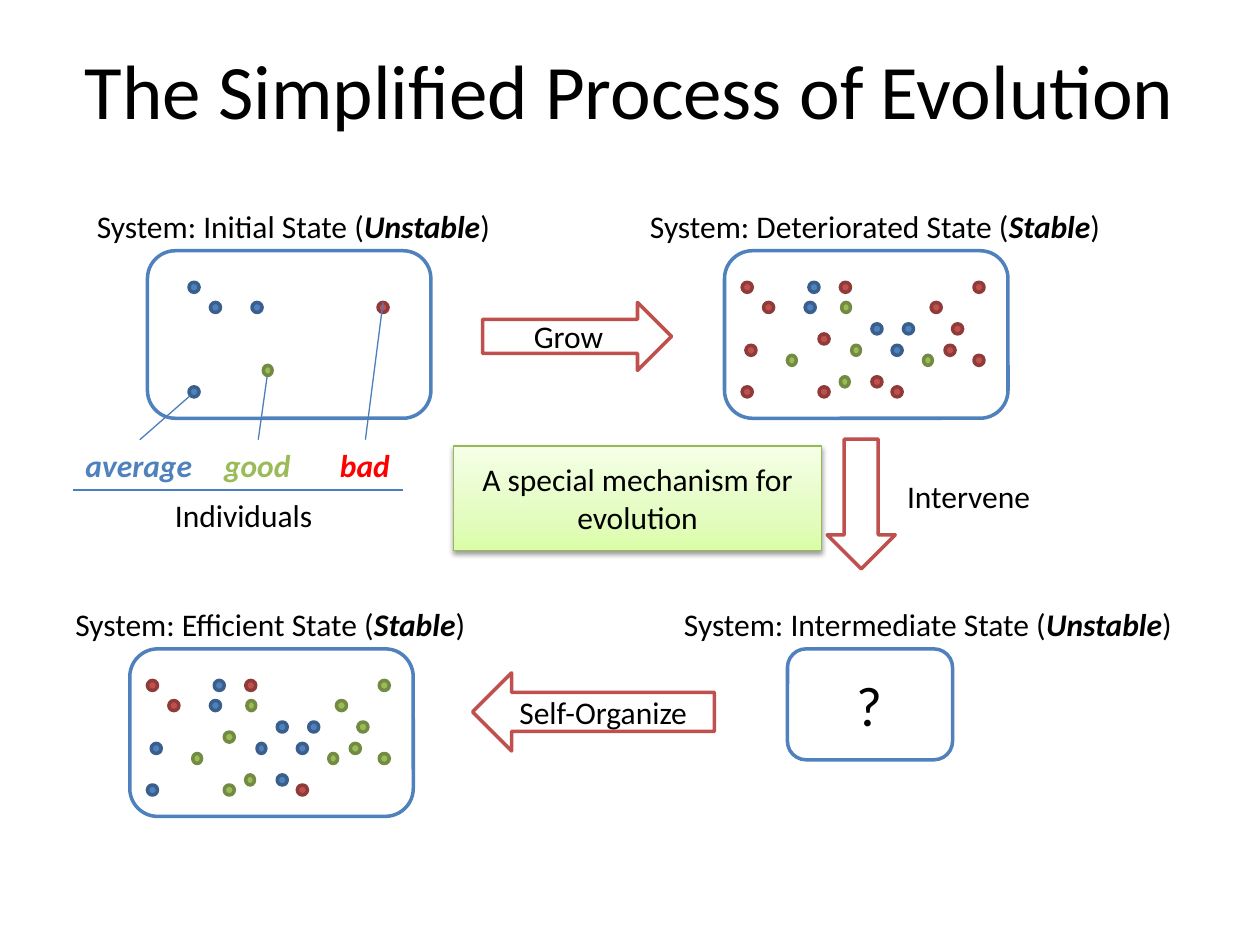
"""Builds the slide on the simplified process of evolution."""
from copy import deepcopy
from typing import NamedTuple

from lxml import etree
from pptx import Presentation
from pptx import util as u
from pptx.dml.color import RGBColor
from pptx.enum import shapes, text
from pptx.oxml.ns import qn

BLACK, WHITE, BLUE, RED, GREEN = "000000", "FFFFFF", "4F81BD", "C0504D", "9BBB59"
RIM = {BLUE: "3A5F8C", RED: "8E3B39", GREEN: "738A42"}
PRESET = shapes.MSO_SHAPE


class Dot(NamedTuple):
    dx: float
    dy: float
    colour: str
    width: float = 0.08


class Place(NamedTuple):
    dx: float
    dy: float
    deteriorated: str
    efficient: str
    width: float = 0.08


class State(NamedTuple):
    name: str
    stability: str
    label_left: float
    label_width: float
    left: float
    top: float
    dots: list[Dot]
    width: float = 2.25
    height: float = 1.33
    content: str = ""


class Arrow(NamedTuple):
    preset: shapes.MSO_SHAPE
    at: tuple[float, float, float, float]
    action: str = ""
    rotation: float = 0


class Individual(NamedTuple):
    kind: str
    colour: str
    left: float
    width: float
    start: tuple[float, float]
    end: tuple[float, float]


INITIAL = [
    Dot(0.33, 0.25, BLUE), Dot(0.83, 0.41, BLUE), Dot(1.83, 0.41, RED),
    Dot(0.92, 0.91, GREEN, 0.07), Dot(0.33, 1.08, BLUE), Dot(0.5, 0.41, BLUE),
]
POPULATION = [
    Place(0.14, 0.25, RED, RED), Place(0.64, 0.41, BLUE, BLUE),
    Place(1.64, 0.41, RED, GREEN), Place(0.14, 1.08, RED, BLUE),
    Place(0.31, 0.41, RED, RED), Place(1.81, 0.58, RED, GREEN),
    Place(1.98, 0.83, RED, GREEN), Place(1.75, 0.75, RED, GREEN),
    Place(1.17, 1.0, RED, BLUE), Place(0.17, 0.75, RED, BLUE),
    Place(1.98, 0.25, RED, GREEN), Place(1.33, 1.08, RED, RED),
    Place(0.75, 1.08, RED, GREEN), Place(0.92, 0.25, RED, RED),
    Place(0.75, 0.66, RED, GREEN), Place(0.92, 1.0, GREEN, GREEN, 0.07),
    Place(0.93, 0.41, GREEN, GREEN, 0.07), Place(1.01, 0.75, GREEN, BLUE, 0.07),
    Place(1.58, 0.83, GREEN, GREEN, 0.07), Place(0.5, 0.83, GREEN, GREEN, 0.07),
    Place(1.17, 0.58, BLUE, BLUE), Place(1.42, 0.58, BLUE, BLUE),
    Place(1.33, 0.75, BLUE, BLUE), Place(0.67, 0.25, BLUE, BLUE),
]
STATES = [
    State("Initial", "Unstable", 0.67, 3.36, 1.17, 1.99, INITIAL),
    State("Deteriorated", "Stable", 5.06, 3.81, 5.75, 1.99,
          [Dot(p.dx, p.dy, p.deteriorated, p.width) for p in POPULATION]),
    State("Efficient", "Stable", 0.5, 3.34, 1.03, 5.15,
          [Dot(p.dx, p.dy, p.efficient, p.width) for p in POPULATION]),
    State("Intermediate", "Unstable", 5.33, 4.12, 6.25, 5.15, [], 1.31, 0.88, "?"),
]
ARROWS = [
    Arrow(PRESET.RIGHT_ARROW, (3.83, 2.4, 1.5, 0.54), "Grow"),
    Arrow(PRESET.RIGHT_ARROW, (6.32, 3.73, 1.03, 0.54), rotation=90),
    Arrow(PRESET.LEFT_ARROW, (3.75, 5.34, 1.92, 0.62), "Self-Organize"),
]
INDIVIDUALS = [
    Individual("good", GREEN, 1.68, 0.73, (2.12, 2.99), (2.05, 3.49)),
    Individual("bad", "FF0000", 2.6, 0.6, (3.04, 2.4), (2.9, 3.49)),
    Individual("average", BLUE, 0.58, 1.06, (1.11, 3.49), (1.51, 3.14)),
]


def paint(colour_format, colour: str) -> None:
    colour_format.rgb = RGBColor.from_string(colour)


def style_run(run, size: float, colour: str = BLACK, strong: bool = False) -> None:
    run.font.size, run.font.name = u.Pt(size), "Calibri"
    run.font.bold = run.font.italic = strong
    paint(run.font.color, colour)


def add_figure(slide, preset, at, fill: str, line: str, words: str = "",
               size: float = 18, weight: float = 2):
    figure = slide.shapes.add_shape(preset, *map(u.Inches, at))
    figure.shadow.inherit = False
    figure.fill.solid()
    paint(figure.fill.fore_color, fill)
    paint(figure.line.color, line)
    figure.line.width = u.Pt(weight)
    if words:
        figure.text_frame.text = words
        figure.text_frame.vertical_anchor = text.MSO_ANCHOR.MIDDLE
        paragraph = figure.text_frame.paragraphs[0]
        paragraph.alignment = text.PP_ALIGN.CENTER
        style_run(paragraph.runs[0], size)
    return figure


def add_label(slide, left: float, top: float, width: float, words: str,
              colour: str = BLACK, strong: bool = False):
    label = slide.shapes.add_textbox(*map(u.Inches, (left, top, width, 0.4)))
    label.text_frame.word_wrap = False
    label.text_frame.auto_size = text.MSO_AUTO_SIZE.SHAPE_TO_FIT_TEXT
    label.text_frame.text = words
    paragraph = label.text_frame.paragraphs[0]
    style_run(paragraph.runs[0], 18, colour, strong)
    return paragraph


def add_line(slide, start: tuple[float, float], end: tuple[float, float]) -> None:
    line = slide.shapes.add_connector(
        shapes.MSO_CONNECTOR.STRAIGHT, *map(u.Inches, start + end))
    paint(line.line.color, "4B7EBC")
    line.line.width = u.Pt(0.75)
    etree.SubElement(line._element.spPr, qn("a:effectLst"))


def add_state(slide, state: State) -> None:
    add_figure(slide, PRESET.ROUNDED_RECTANGLE,
               (state.left, state.top, state.width, state.height),
               WHITE, BLUE, state.content, 32)
    heading = add_label(slide, state.label_left, state.top - 0.4, state.label_width,
                        f"System: {state.name} State (")
    for words, strong in ((state.stability, True), (")", False)):
        run = heading.add_run()
        run.text = words
        style_run(run, 18, strong=strong)
    for dot in state.dots:
        add_figure(slide, PRESET.OVAL,
                   (state.left + dot.dx, state.top + dot.dy, dot.width, 0.08),
                   dot.colour, RIM[dot.colour])


def add_mechanism(slide) -> None:
    box = add_figure(slide, PRESET.RECTANGLE, (3.6, 3.54, 2.92, 0.83), WHITE,
                     "98B955", "A special mechanism for evolution", weight=0.75)
    box.fill.gradient()
    box.fill.gradient_angle = 90
    stops = box._element.spPr.find(".//" + qn("a:gsLst"))
    stops.insert(1, deepcopy(stops[0]))
    for stop, position, colour in zip(
            box.fill.gradient_stops, (0, 0.35, 1), ("DAFDA7", "E4FCC2", "F5FFE7")):
        stop.position = position
        paint(stop.color, colour)
    shadow = etree.SubElement(
        box._element.spPr.find(qn("a:effectLst")), qn("a:outerShdw"),
        blurRad=str(u.Pt(3.1)), dist=str(u.Pt(1.6)), dir="5400000", rotWithShape="0")
    shade = etree.SubElement(shadow, qn("a:srgbClr"), val=BLACK)
    etree.SubElement(shade, qn("a:alpha"), val="38000")


def add_title(slide) -> None:
    title = slide.shapes.add_textbox(*map(u.Inches, (0.5, 0.08, 9, 1.25)))
    title.text_frame.word_wrap = True
    title.text_frame.vertical_anchor = text.MSO_ANCHOR.MIDDLE
    title.text_frame.text = "The Simplified Process of Evolution"
    paragraph = title.text_frame.paragraphs[0]
    paragraph.alignment = text.PP_ALIGN.CENTER
    style_run(paragraph.runs[0], 44)


def main() -> None:
    deck = Presentation()
    deck.slide_width, deck.slide_height = u.Inches(10), u.Inches(7.5)
    slide = deck.slides.add_slide(deck.slide_layouts[6])
    add_title(slide)
    for state in STATES:
        add_state(slide, state)
    for individual in INDIVIDUALS:
        add_label(slide, individual.left, 3.49, individual.width,
                  individual.kind, individual.colour, True)
        add_line(slide, individual.start, individual.end)
    add_label(slide, 1.29, 3.89, 1.3, "Individuals")
    add_line(slide, (0.58, 3.89), (3.2, 3.89))
    for arrow in ARROWS:
        figure = add_figure(slide, arrow.preset, arrow.at, WHITE, RED, arrow.action)
        figure.rotation = arrow.rotation
    add_label(slide, 7.1, 3.74, 1.19, "Intervene")
    add_mechanism(slide)
    deck.save("out.pptx")


if __name__ == "__main__":
    main()
